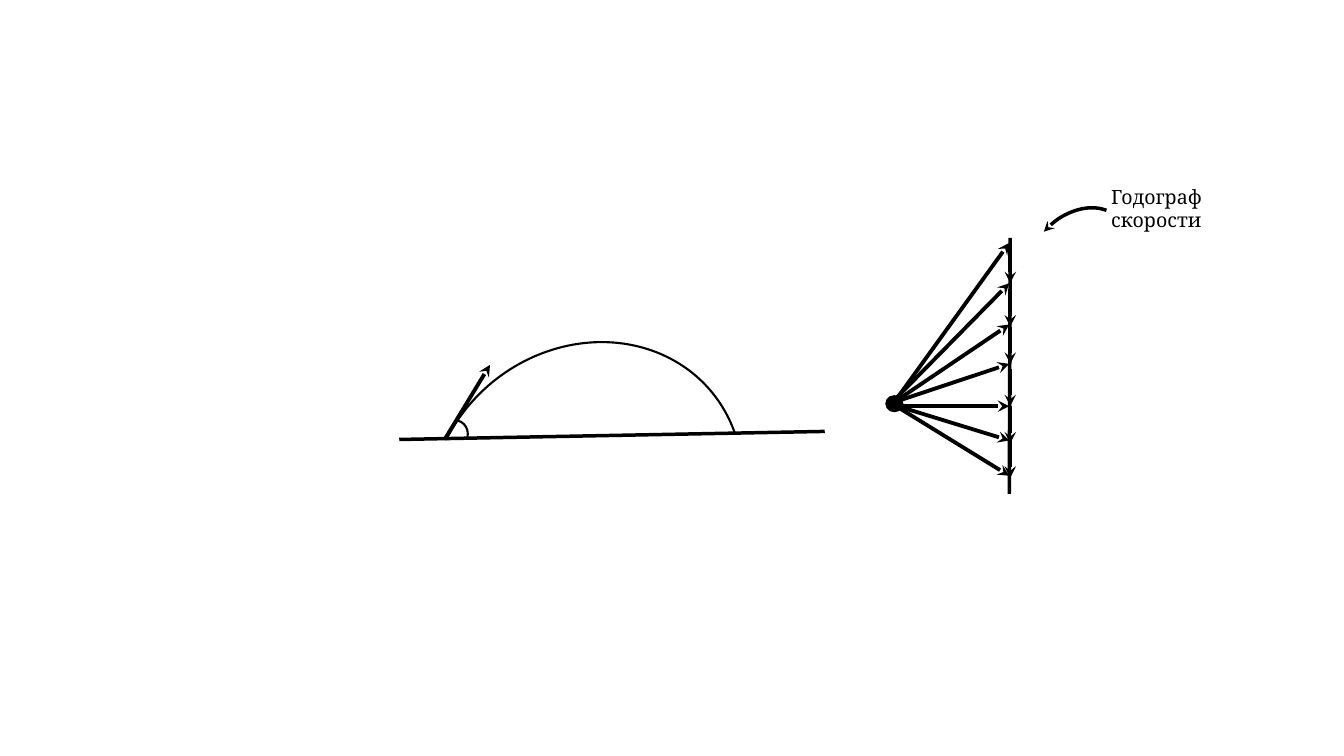
from pptx import Presentation
from pptx.dml.color import RGBColor
from pptx.enum.shapes import MSO_CONNECTOR, MSO_SHAPE
from pptx.enum.text import MSO_AUTO_SIZE
from pptx.oxml.ns import qn
from pptx.util import Inches, Pt

STRAIGHT = MSO_CONNECTOR.STRAIGHT
ARC, OVAL = MSO_SHAPE.ARC, MSO_SHAPE.OVAL
FIT_SHAPE = MSO_AUTO_SIZE.SHAPE_TO_FIT_TEXT
BLACK = "000000"


def color(hex_value):
    return RGBColor.from_string(hex_value)


def add_stealth(s, end):
    """Put an arrowhead on the end "headEnd" (start) or "tailEnd" (finish)."""
    ln = s.line._get_or_add_ln()
    ln.append(ln.makeelement(qn(f"a:{end}"), {"type": "stealth"}))


def add_line(slide, start, finish, width=2.5, arrow=False):
    s = slide.shapes.add_connector(STRAIGHT, *map(Inches, start + finish))
    s.line.color.rgb = color(BLACK)
    s.line.width = Pt(width)
    if arrow:
        add_stealth(s, "tailEnd")
    sp_pr = s._element.spPr
    sp_pr.append(sp_pr.makeelement(qn("a:effectLst"), {}))


def add_arrow(slide, start, finish):
    add_line(slide, start, finish, 2.75, True)


def add_arc(slide, box, rotation, width=1.5, angles=(162, 0)):
    """Draw an arc; angles are in units of 5/3 of a degree."""
    s = slide.shapes.add_shape(ARC, *map(Inches, box))
    s.shadow.inherit = False
    s.rotation = rotation
    s.fill.background()
    s.line.color.rgb = color(BLACK)
    s.line.width = Pt(width)
    for i, angle in enumerate(angles):
        s.adjustments[i] = angle
    return s


def add_trajectory(slide, x, y):
    """Draw the flight path, with the launch point at x, y."""
    add_line(slide, (x - 0.45, y), (x + 3.77, y - 0.08))
    add_arc(slide, (x - 0.22, y - 0.9, 3.24, 2.92), 320.6,
            angles=(145.19, 9.87))
    add_arrow(slide, (x, y), (x + 0.45, y - 0.74))
    add_arc(slide, (x - 0.03, y - 0.19, 0.26, 0.28), 13.3)


def add_hodograph(slide, x, y):
    """Draw the velocity fan, with its common origin at x, y."""
    axis = x + 1.18
    add_line(slide, (axis, y - 1.66), (axis - 0.01, y + 0.88))
    velocities = [(0.01, -1.61), (-0.02, -1.21), (-0.01, -0.8),
                  (-0.02, -0.41), (0.01, 0.01), (-0.01, 0.35), (-0.02, 0.7)]
    for rise, tip in velocities:
        add_arrow(slide, (x, y + rise), (axis - 0.01, y + tip))
    for top in (-1.58, -1.15, -0.78, -0.36, 0.01, 0.35):
        add_arrow(slide, (axis, y + top), (axis, y + top + 0.37))
    dot = slide.shapes.add_shape(
        OVAL, *map(Inches, (x - 0.06, y - 0.1, 0.18, 0.17)))
    dot.shadow.inherit = False
    dot.fill.solid()
    dot.fill.fore_color.rgb = color(BLACK)
    dot.line.fill.background()


def add_caption(slide, x, y):
    pointer = add_arc(slide, (x - 0.93, y + 0.32, 1.19, 0.89), 311.7, 2.5,
                      (162, 208.73))
    add_stealth(pointer, "headEnd")
    tf = slide.shapes.add_textbox(
        *map(Inches, (x, y, 1.06, 0.47))).text_frame
    layout = {"margin_left": 0, "margin_right": 0, "margin_top": 0,
              "margin_bottom": 0, "word_wrap": True, "auto_size": FIT_SHAPE}
    for name, value in layout.items():
        setattr(tf, name, value)
    r = tf.paragraphs[0].add_run()
    r.text = "Годограф скорости"
    r.font.name = "Cambria"
    r.font.size = Pt(14)
    r.font.color.rgb = color(BLACK)


def main():
    prs = Presentation()
    prs.slide_width, prs.slide_height = Inches(13.33), Inches(7.5)
    slide = prs.slides.add_slide(prs.slide_layouts[6])
    add_trajectory(slide, 4.41, 4.36)
    add_hodograph(slide, 8.84, 4.02)
    add_caption(slide, 11.02, 1.83)
    prs.save("out.pptx")


if __name__ == "__main__":
    main()
